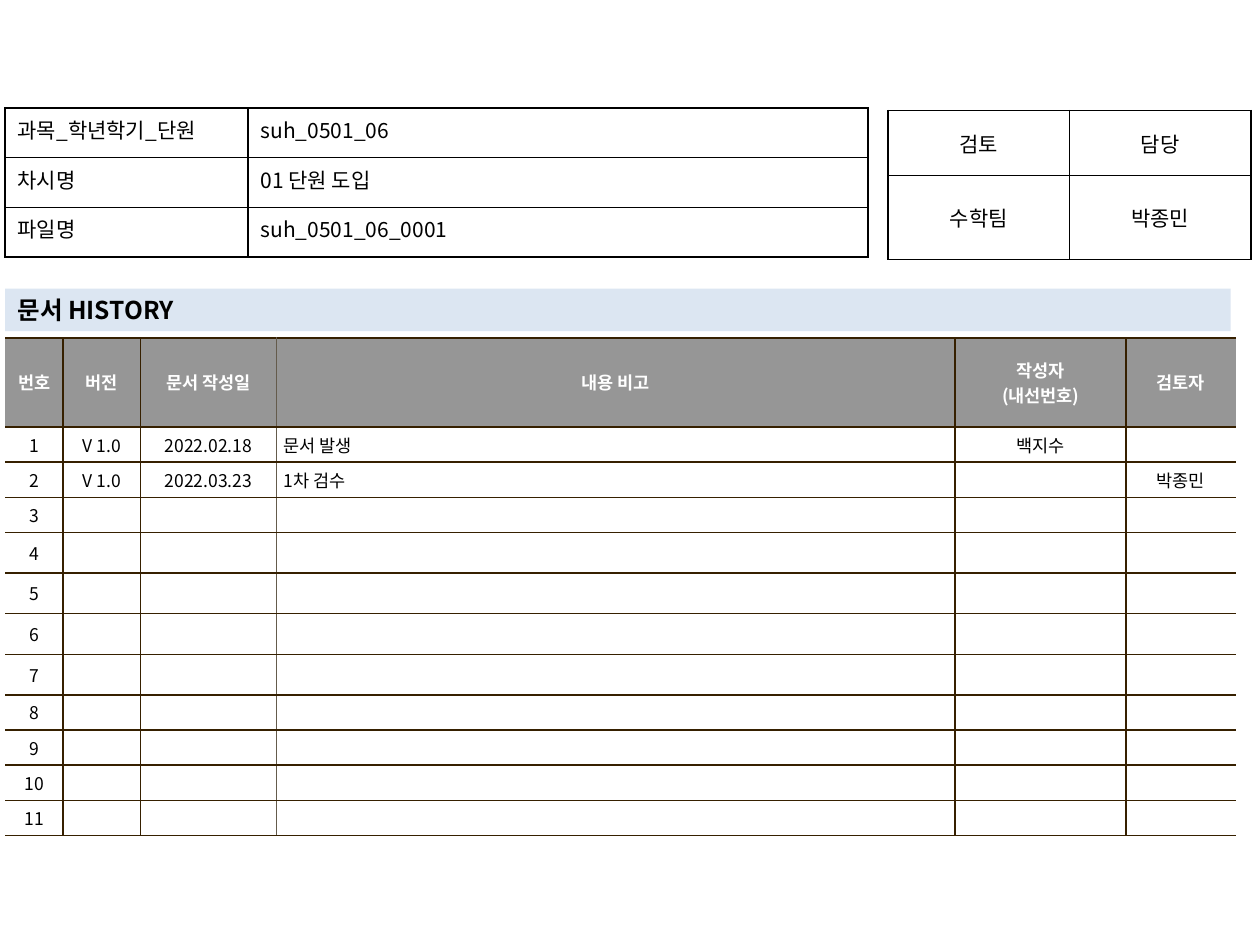
from lxml import etree
from pptx import Presentation
from pptx.dml.color import RGBColor
from pptx.enum.shapes import MSO_SHAPE
from pptx.enum.text import MSO_ANCHOR, PP_ALIGN
from pptx.oxml.ns import qn
from pptx.util import Pt

RECT = MSO_SHAPE.RECTANGLE
TOP, MIDDLE = MSO_ANCHOR.TOP, MSO_ANCHOR.MIDDLE
LEFT, CENTER, JUSTIFY = PP_ALIGN.LEFT, PP_ALIGN.CENTER, PP_ALIGN.JUSTIFY

FONT = "Noto Sans CJK KR"
BLACK = RGBColor(0x00, 0x00, 0x00)
WHITE = RGBColor(0xFF, 0xFF, 0xFF)
GRAY = RGBColor(0x96, 0x96, 0x96)
BROWN = RGBColor(0x36, 0x20, 0x00)
TAUPE = RGBColor(0x64, 0x5B, 0x4C)
PALE_BLUE = RGBColor(0xDC, 0xE6, 0xF2)

INFO = [
    ["과목_학년학기_단원", "suh_0501_06"],
    ["차시명", "01 단원 도입"],
    ["파일명", "suh_0501_06_0001"],
]
REVIEW = [["검토", "담당"], ["수학팀", "박종민"]]
HISTORY_HEAD = ["번호", "버전", "문서 작성일", "내용 비고", "작성자\n(내선번호)", "검토자"]
HISTORY = [
    ["V 1.0", "2022.02.18", "문서 발생", "백지수", ""],
    ["V 1.0", "2022.03.23", "1차 검수", "", "박종민"],
]
HISTORY_ROWS = 11
TALL_ROWS = range(4, 8)


def write(tf, text, size, color=BLACK, bold=False, align=LEFT):
    for i, line in enumerate(text.split("\n")):
        p = tf.paragraphs[0] if i == 0 else tf.add_paragraph()
        p.alignment = align
        if not line:
            # An empty cell still needs a text size, or its row grows.
            etree.SubElement(p._p, qn("a:endParaRPr"), sz=str(size * 100))
            continue
        r = p.add_run()
        r.text = line
        r.font.size, r.font.bold, r.font.name = Pt(size), bold, FONT
        r.font.color.rgb = color
        etree.SubElement(r.font._element, qn("a:ea"), typeface=FONT)


def set_borders(cell, **colors):
    """Draw 1 pt cell borders; a side given None has no line."""
    tcPr = cell._tc.get_or_add_tcPr()
    for side in "LRTB":
        ln = etree.SubElement(tcPr, qn("a:ln" + side), w=str(Pt(1)))
        if colors[side] is None:
            etree.SubElement(ln, qn("a:noFill"))
        else:
            fill = etree.SubElement(ln, qn("a:solidFill"))
            etree.SubElement(fill, qn("a:srgbClr"), val=str(colors[side]))


def set_cell(cell, fill, anchor, margins):
    cell.vertical_anchor = anchor
    cell.margin_left = cell.margin_right = Pt(margins[0])
    cell.margin_top = cell.margin_bottom = Pt(margins[1])
    if fill is None:
        cell.fill.background()
    else:
        cell.fill.solid()
        cell.fill.fore_color.rgb = fill


def add_grid(s, x, y, widths, heights):
    table = s.shapes.add_table(len(heights), len(widths), Pt(x), Pt(y),
                               Pt(sum(widths)), Pt(sum(heights))).table
    table.first_row = table.horz_banding = False
    for column, width in zip(table.columns, widths):
        column.width = Pt(width)
    for row, height in zip(table.rows, heights):
        row.height = Pt(height)
    return table


def add_plain_table(s, x, y, widths, heights, rows, aligns, anchor):
    table = add_grid(s, x, y, widths, heights)
    for i, row in enumerate(rows):
        for j, text in enumerate(row):
            cell = table.cell(i, j)
            set_borders(cell, L=BLACK, R=BLACK, T=BLACK, B=BLACK)
            set_cell(cell, None, anchor, (7.2, 3.6))
            write(cell.text_frame, text, 12, align=aligns[j])


def add_history_bar(s, x, y, w, h):
    sp = s.shapes.add_shape(RECT, Pt(x), Pt(y), Pt(w), Pt(h))
    sp.shadow.inherit = False
    sp.fill.solid()
    sp.fill.fore_color.rgb = PALE_BLUE
    sp.line.fill.background()
    tf = sp.text_frame
    tf.word_wrap = True
    tf.vertical_anchor = MIDDLE
    write(tf, "문서 HISTORY", 14, bold=True)


def add_history_table(s, x, y, widths):
    rows, heights = [HISTORY_HEAD], [51]
    for n in range(1, HISTORY_ROWS + 1):
        entry = HISTORY[n - 1] if n <= len(HISTORY) else [""] * 5
        rows.append([str(n)] + entry)
        heights.append(23.2 if n in TALL_ROWS else 20.1)
    table = add_grid(s, x, y, widths, heights)
    verticals = [None, BROWN, BROWN, TAUPE, BROWN, BROWN, None]
    for i, row in enumerate(rows):
        head = i == 0
        for j, text in enumerate(row):
            cell = table.cell(i, j)
            set_borders(cell, L=verticals[j], R=verticals[j + 1], T=BROWN, B=BROWN)
            set_cell(cell, GRAY if head else WHITE, MIDDLE, (4.3, 2.8))
            write(cell.text_frame, text, 10, WHITE if head else BLACK, head,
                  LEFT if j == 3 and not head else CENTER)


def main():
    prs = Presentation()
    prs.slide_width, prs.slide_height = Pt(720), Pt(540)
    s = prs.slides.add_slide(prs.slide_layouts[6])
    add_history_table(s, 2.9, 193, [33.2, 44.2, 77.6, 388, 97.7, 62.6])
    add_plain_table(s, 507.5, 63.2, [103.7] * 2, [37.2, 47.8], REVIEW,
                    [CENTER, CENTER], MIDDLE)
    add_history_bar(s, 2.9, 165, 700.3, 24.2)
    add_plain_table(s, 2.9, 61.7, [138.8, 354.4], [28.4] * 3, INFO,
                    [JUSTIFY, LEFT], TOP)
    prs.save("out.pptx")


if __name__ == "__main__":
    main()
